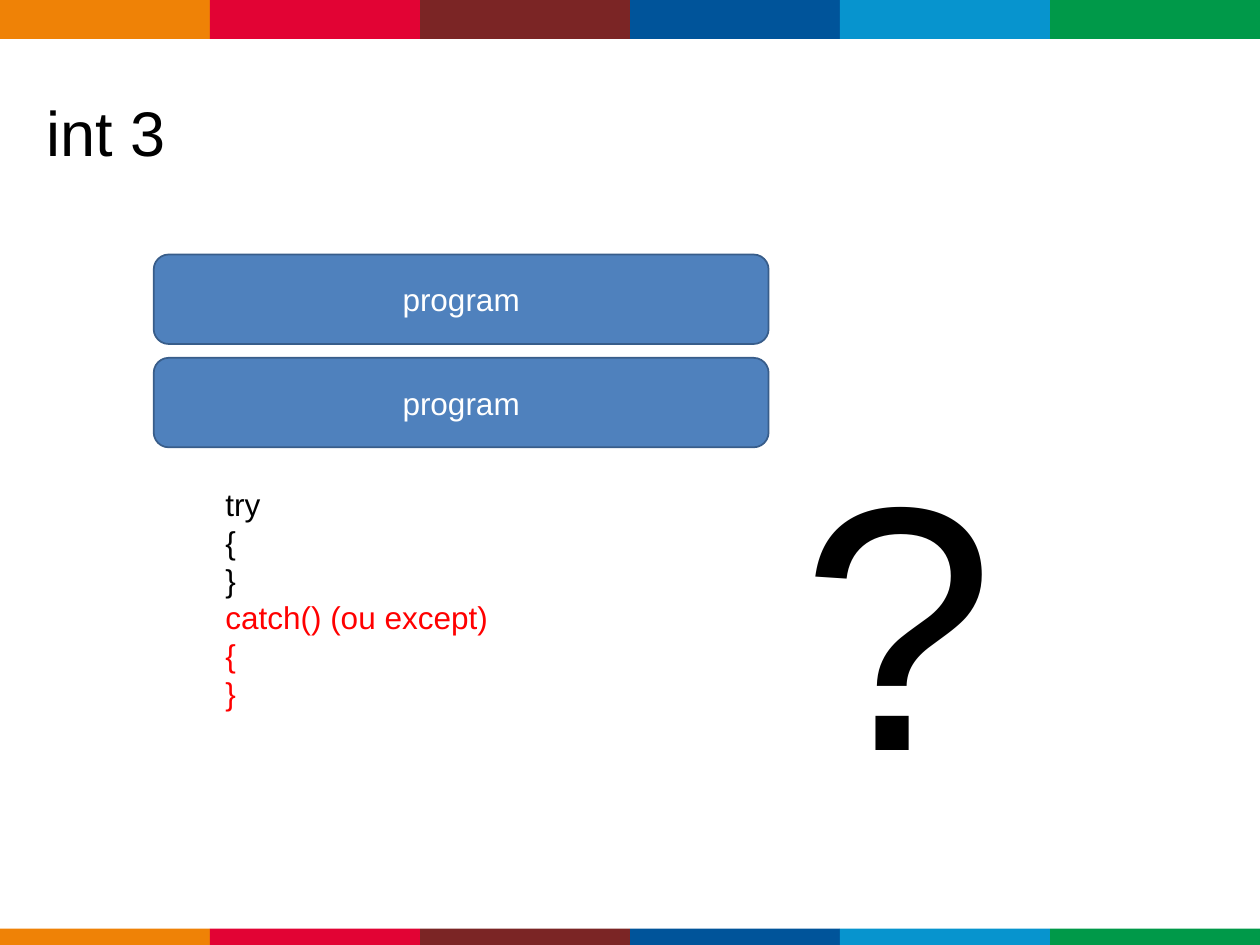
from dataclasses import dataclass

import pptx
import pptx.dml.color
import pptx.enum.shapes
import pptx.enum.text
import pptx.util

Inches = pptx.util.Inches
Pt = pptx.util.Pt
Shape = pptx.enum.shapes.MSO_SHAPE
Anchor = pptx.enum.text.MSO_ANCHOR
Align = pptx.enum.text.PP_ALIGN

BLACK, WHITE, RED = "000000", "FFFFFF", "FF0000"
BANDS = ["EF8206", "E20334", "7B2525", "00549A", "0794CE", "009949"]
WIDTH, HEIGHT = 10, 7.5


@dataclass
class Box:
    left: float
    top: float
    width: float
    height: float

    def lengths(self):
        return [Inches(n) for n in (self.left, self.top, self.width, self.height)]


@dataclass
class Line:
    text: str
    color: str = BLACK


def paint(target, color: str):
    """Give a fill a solid colour."""
    target.solid()
    target.fore_color.rgb = pptx.dml.color.RGBColor.from_string(color)


def write(shape, lines: list[Line], size: float, anchor=Anchor.TOP, align=Align.LEFT):
    frame = shape.text_frame
    frame.word_wrap = True
    frame.vertical_anchor = anchor
    frame.text = "\n".join(line.text for line in lines)
    for para, line in zip(frame.paragraphs, lines):
        para.alignment = align
        para.line_spacing = Pt(1.2 * size)
        font = para.runs[0].font
        font.name = "Arial"
        font.size = Pt(size)
        paint(font.fill, line.color)


def add_label(slide, box: Box, lines: list[Line], size: float, anchor=Anchor.TOP):
    write(slide.shapes.add_textbox(*box.lengths()), lines, size, anchor)


def add_bands(slide, top: float, height: float):
    """Draw a row of equal colour bands across the slide."""
    step = WIDTH / len(BANDS)
    for i, color in enumerate(BANDS):
        box = Box(i * step, top, step, height)
        band = slide.shapes.add_shape(Shape.RECTANGLE, *box.lengths())
        band.shadow.inherit = False
        paint(band.fill, color)
        band.line.fill.background()


def add_program(slide, top: float):
    box = Box(1.22, top, 4.88, 0.71)
    shape = slide.shapes.add_shape(Shape.ROUNDED_RECTANGLE, *box.lengths())
    shape.shadow.inherit = False
    paint(shape.fill, "4F81BD")
    paint(shape.line.fill, "385D8A")
    shape.line.width = Pt(1)
    write(shape, [Line("program", WHITE)], 18, Anchor.MIDDLE, Align.CENTER)


def main():
    deck = pptx.Presentation()
    deck.slide_width, deck.slide_height = Inches(WIDTH), Inches(HEIGHT)
    slide = deck.slides.add_slide(deck.slide_layouts[6])

    add_bands(slide, 0, 0.31)
    add_bands(slide, HEIGHT - 0.13, 0.13)
    add_label(slide, Box(0.27, 0.53, 6.22, 1.02), [Line("int 3")], 36, Anchor.MIDDLE)
    for top in (2.02, 2.84):
        add_program(slide, top)

    code = [Line(text) for text in ("try", "{", "}")]
    code += [Line(text, RED) for text in ("catch() (ou except)", "{", "}")]
    add_label(slide, Box(1.69, 3.8, 4.02, 1.9), code, 18)
    add_label(slide, Box(6.26, 3.14, 1.73, 3.42), [Line("?")], 199)

    deck.save("out.pptx")


if __name__ == "__main__":
    main()
